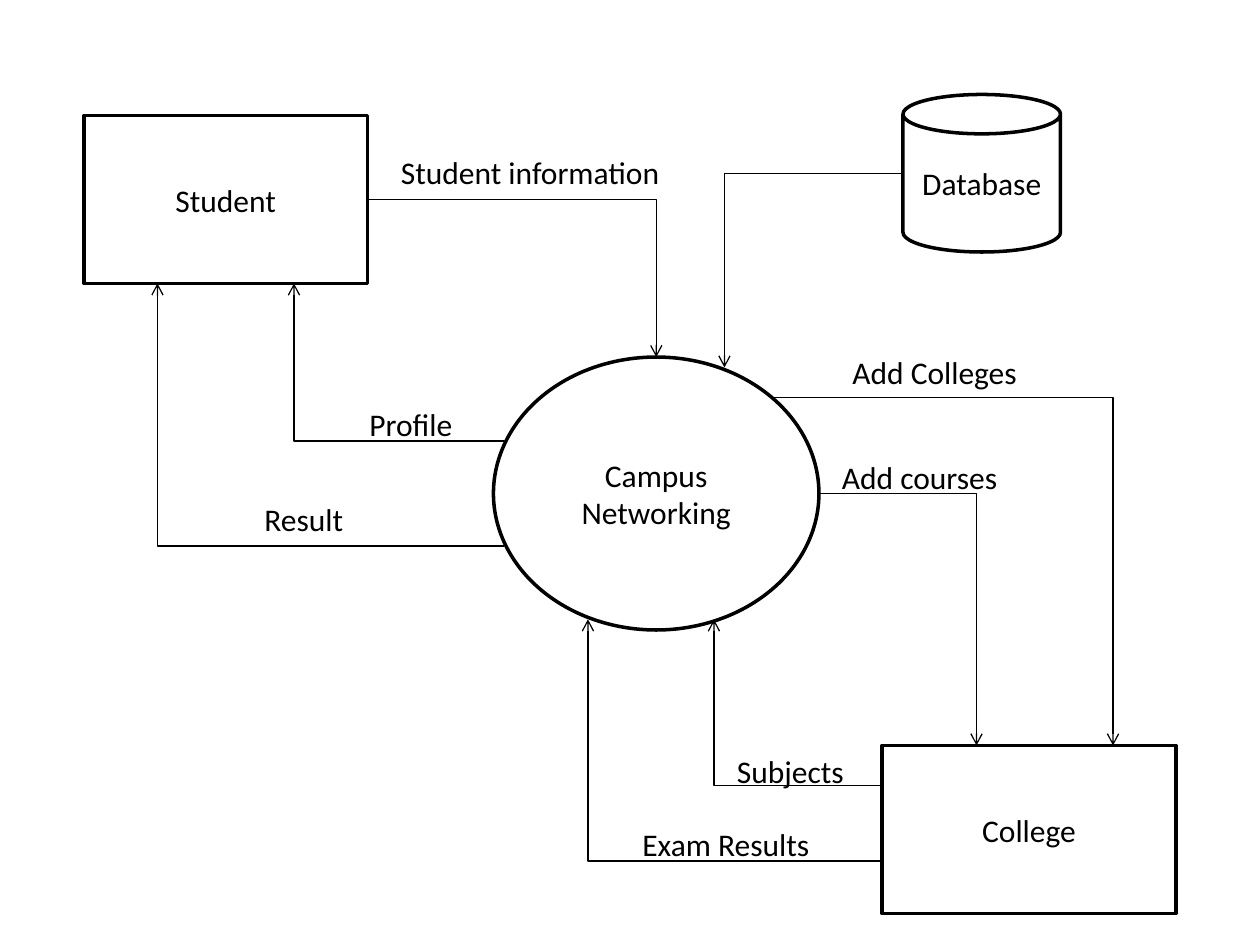
from lxml.etree import SubElement
from pptx import Presentation
from pptx.dml.color import RGBColor
from pptx.enum.shapes import MSO_CONNECTOR, MSO_SHAPE
from pptx.enum.text import MSO_ANCHOR, MSO_AUTO_SIZE, PP_ALIGN
from pptx.oxml.ns import qn
from pptx.util import Pt

BLACK = RGBColor(0, 0, 0)
WHITE = RGBColor(255, 255, 255)

FONT = {"name": "Calibri", "size": Pt(18)}
NODE = {"word_wrap": True, "vertical_anchor": MSO_ANCHOR.MIDDLE}
LABEL = {"word_wrap": False, "auto_size": MSO_AUTO_SIZE.SHAPE_TO_FIT_TEXT}

# Shape, text, left, top, width, height
NODES = [
    (MSO_SHAPE.OVAL, "Campus Networking", 282, 204, 186, 156),
    (MSO_SHAPE.RECTANGLE, "Student", 48, 66, 162, 96),
    (MSO_SHAPE.RECTANGLE, "College", 504, 426, 168, 96),
    (MSO_SHAPE.CAN, "Database", 516, 54, 90, 90),
]

# Start x, y and end x, y; each runs across first, then up or down
FLOWS = [
    (210, 114, 375, 204),
    (441, 227, 636, 426),
    (468, 282, 558, 426),
    (504, 449, 408, 354),
    (504, 492, 336, 354),
    (288, 252, 168, 162),
    (288, 312, 90, 162),
    (516, 99, 414, 210),
]

# Text, left, top, width
LABELS = [
    ("Student information", 222, 84, 164),
    ("Add Colleges", 480, 198, 109),
    ("Add courses", 474, 258, 104),
    ("Subjects", 414, 426, 76),
    ("Exam Results", 360, 468, 111),
    ("Profile", 204, 228, 63),
    ("Result", 144, 282, 60),
]


def apply(target, form):
    for key, value in form.items():
        setattr(target, key, value)


def write(shape, text, frame, align):
    apply(shape.text_frame, frame)
    para = shape.text_frame.paragraphs[0]
    para.alignment = align
    run = para.add_run()
    run.text = text
    apply(run.font, FONT)
    run.font.color.rgb = BLACK


def stroke(shape, width):
    shape.line.color.rgb = BLACK
    shape.line.width = Pt(width)


def add_node(slide, kind, text, *box):
    node = slide.shapes.add_shape(kind, *map(Pt, box))
    node.shadow.inherit = False
    node.fill.solid()
    node.fill.fore_color.rgb = WHITE
    stroke(node, 2)
    write(node, text, NODE, PP_ALIGN.CENTER)


def add_flow(slide, *ends):
    flow = slide.shapes.add_connector(MSO_CONNECTOR.ELBOW, *map(Pt, ends))
    stroke(flow, 0.75)
    # One bend, an open arrowhead and no shadow
    props = flow._element.spPr
    props.find(qn("a:prstGeom")).set("prst", "bentConnector2")
    SubElement(props.find(qn("a:ln")), qn("a:tailEnd"), type="arrow")
    SubElement(props, qn("a:effectLst"))


def add_label(slide, text, left, top, width):
    label = slide.shapes.add_textbox(Pt(left), Pt(top), Pt(width), Pt(29))
    write(label, text, LABEL, PP_ALIGN.LEFT)


def main():
    deck = Presentation()
    apply(deck, {"slide_width": Pt(720), "slide_height": Pt(540)})
    slide = deck.slides.add_slide(deck.slide_layouts[6])
    for add, rows in ((add_node, NODES), (add_flow, FLOWS), (add_label, LABELS)):
        for row in rows:
            add(slide, *row)
    deck.save("out.pptx")


main()
